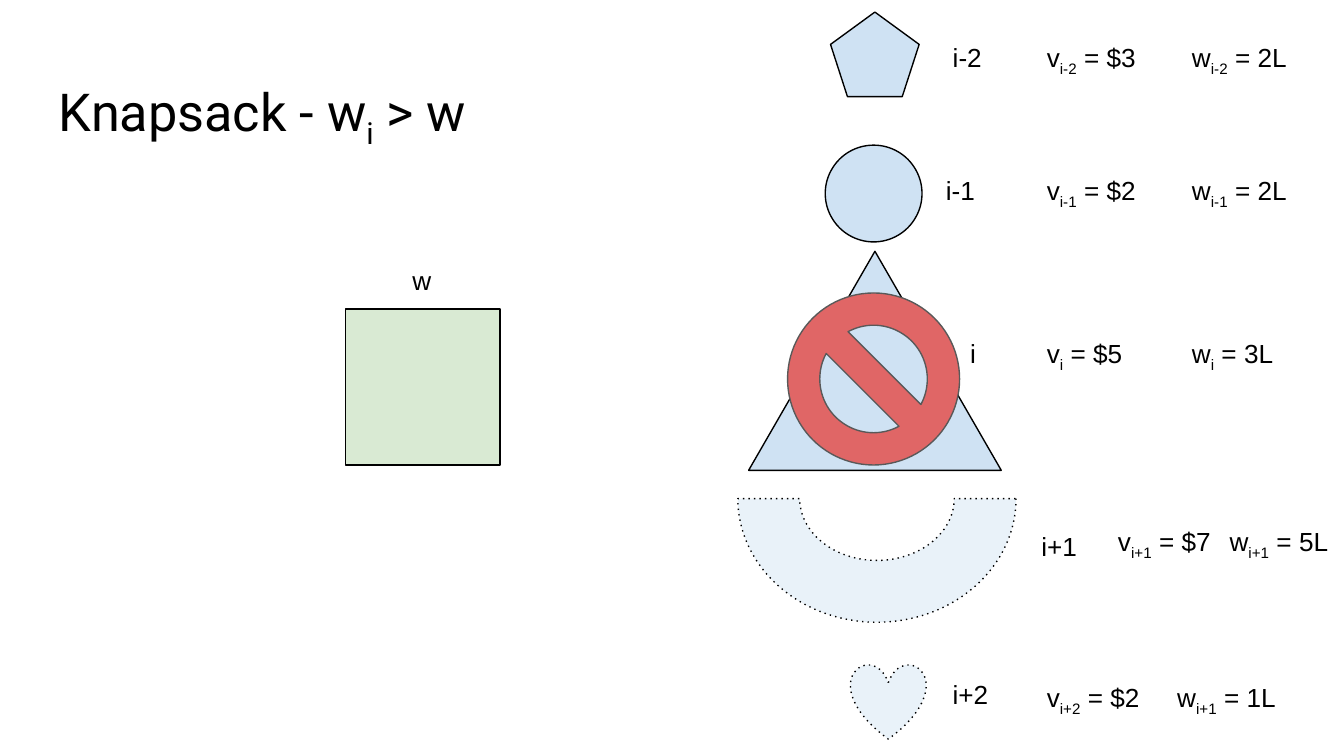
from dataclasses import dataclass
from typing import Optional

from lxml.etree import SubElement
from pptx import Presentation
from pptx.dml.color import RGBColor
from pptx.enum.dml import MSO_LINE
from pptx.enum.shapes import MSO_SHAPE
from pptx.enum.text import MSO_ANCHOR, PP_ALIGN
from pptx.oxml.ns import qn
from pptx.slide import Slide
from pptx.util import Emu, Pt

EMU_PER_PX = 9144
SLIDE_WIDTH = 1000
LABEL_HEIGHT = 48


@dataclass(frozen=True)
class Theme:
    ink: str = "000000"
    item: str = "CFE2F3"
    sack: str = "D9EAD3"
    ban: str = "E06666"
    ban_line: str = "595959"
    title_font: str = "Roboto"
    body_font: str = "Arial"
    title_size: int = 28
    body_size: int = 14
    line_width: float = 0.75
    faded_alpha: int = 44
    inset: int = 10


THEME = Theme()


@dataclass(frozen=True)
class Box:
    left: int
    top: int
    width: int
    height: int

    def emu(self) -> list[Emu]:
        sides = (self.left, self.top, self.width, self.height)
        return [Emu(side * EMU_PER_PX) for side in sides]


@dataclass(frozen=True)
class Figure:
    kind: MSO_SHAPE
    box: Box
    fill: str = THEME.item
    line: str = THEME.ink
    faded: bool = False
    rotation: int = 0
    adjustments: tuple[float, ...] = ()


@dataclass(frozen=True)
class Label:
    box: Box
    text: str
    subscript: str = ""
    tail: str = ""
    font: str = THEME.body_font
    size: int = THEME.body_size
    align: Optional[PP_ALIGN] = None


@dataclass(frozen=True)
class Item:
    index: str
    name_box: Box
    value: str
    value_box: Box
    weight: str
    weight_box: Box
    weight_index: str

    def labels(self) -> list[Label]:
        return [
            Label(self.name_box, self.index),
            Label(self.value_box, "v", self.index, f" = {self.value}"),
            Label(self.weight_box, "w", self.weight_index, f" = {self.weight}"),
        ]


def label_box(left: int, top: int, width: int = 98) -> Box:
    return Box(left, top, width, LABEL_HEIGHT)


FIGURES = [
    Figure(MSO_SHAPE.RECTANGLE, Box(257, 230, 115, 116), THEME.sack),
    Figure(MSO_SHAPE.OVAL, Box(614, 108, 72, 72)),
    Figure(MSO_SHAPE.BLOCK_ARC, Box(549, 279, 207, 184), faded=True,
           rotation=180, adjustments=(108, 0, 0.25)),
    Figure(MSO_SHAPE.HEART, Box(633, 494, 56, 56), faded=True),
    Figure(MSO_SHAPE.ISOSCELES_TRIANGLE, Box(557, 187, 188, 163)),
    Figure(MSO_SHAPE.REGULAR_PENTAGON, Box(618, 9, 66, 63)),
    Figure(MSO_SHAPE.NO_SYMBOL, Box(586, 218, 128, 128), THEME.ban,
           THEME.ban_line),
]

ITEMS = [
    Item("i-2", label_box(699, 21, 42), "$3", label_box(769, 21),
         "2L", label_box(877, 21), "i-2"),
    Item("i-1", label_box(694, 120, 57), "$2", label_box(769, 120),
         "2L", label_box(877, 120), "i-1"),
    Item("i", label_box(712, 241, 37), "$5", label_box(769, 241, 115),
         "3L", label_box(877, 241), "i"),
    Item("i+1", label_box(765, 385, 57), "$7", label_box(822, 381, 106),
         "5L", label_box(905, 381), "i+1"),
    Item("i+2", label_box(699, 495, 57), "$2", label_box(769, 497),
         "1L", label_box(866, 497), "i+1"),
]

TITLE = Label(Box(34, 49, 932, 63), "Knapsack - w", "i", " > w",
              THEME.title_font, THEME.title_size)
SACK_LABEL = Label(label_box(246, 187, 136), "w", align=PP_ALIGN.CENTER)


def draw_figure(page: Slide, figure: Figure) -> None:
    shape = page.shapes.add_shape(figure.kind, *figure.box.emu())
    shape.shadow.inherit = False
    shape.rotation = figure.rotation
    for position, value in enumerate(figure.adjustments):
        shape.adjustments[position] = value
    shape.fill.solid()
    shape.fill.fore_color.rgb = RGBColor.from_string(figure.fill)
    shape.line.color.rgb = RGBColor.from_string(figure.line)
    shape.line.width = Pt(THEME.line_width)
    if figure.faded:
        properties = shape._element.spPr
        shape.line.dash_style = MSO_LINE.ROUND_DOT
        properties.find(f".//{qn('a:prstDash')}").set("val", "dot")
        color = properties.find(qn("a:solidFill"))[0]
        alpha = SubElement(color, qn("a:alpha"))
        alpha.set("val", str(THEME.faded_alpha * 1000))


def draw_label(page: Slide, label: Label) -> None:
    frame = page.shapes.add_textbox(*label.box.emu()).text_frame
    frame.word_wrap = True
    frame.vertical_anchor = MSO_ANCHOR.TOP
    inset = Emu(THEME.inset * EMU_PER_PX)
    frame.margin_left = frame.margin_right = inset
    frame.margin_top = frame.margin_bottom = inset
    frame.text = label.text
    para = frame.paragraphs[0]
    para.alignment = label.align
    if label.subscript:
        span = para.add_run()
        span.text = label.subscript
        span._r.get_or_add_rPr().set("baseline", "-25000")
        para.add_run().text = label.tail
    for span in para.runs:
        span.font.name = label.font
        span.font.size = Pt(label.size)
        span.font.color.rgb = RGBColor.from_string(THEME.ink)


def main() -> None:
    deck = Presentation()
    deck.slide_width = Emu(SLIDE_WIDTH * EMU_PER_PX)
    deck.slide_height = Emu(deck.slide_width * 9 // 16)
    page = deck.slides.add_slide(deck.slide_layouts[6])
    draw_label(page, TITLE)
    for figure in FIGURES:
        draw_figure(page, figure)
    draw_label(page, SACK_LABEL)
    for item in ITEMS:
        for label in item.labels():
            draw_label(page, label)
    deck.save("out.pptx")


if __name__ == "__main__":
    main()
